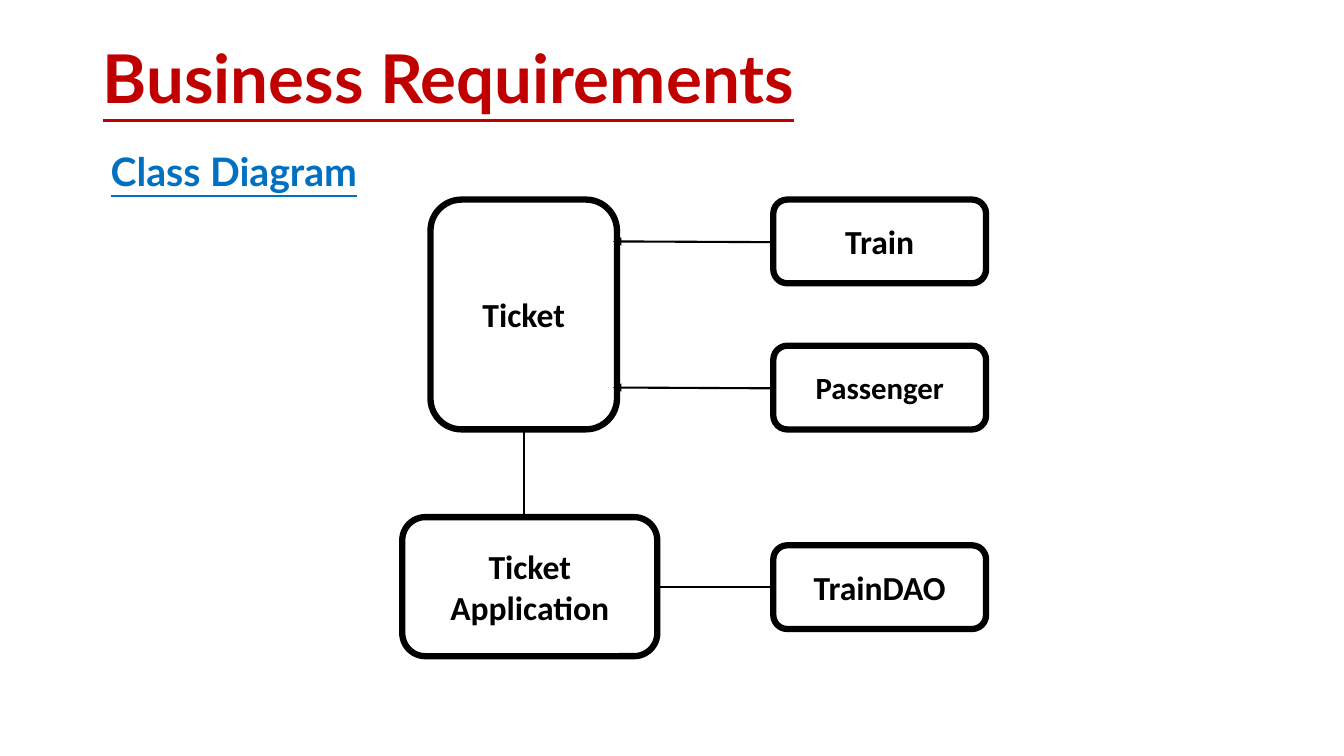
from lxml import etree
from pptx import Presentation
from pptx.dml.color import RGBColor
from pptx.enum.shapes import MSO_CONNECTOR, MSO_SHAPE
from pptx.enum.text import MSO_ANCHOR as ANCHOR, MSO_AUTO_SIZE as FIT, PP_ALIGN as ALIGN
from pptx.oxml.ns import qn
from pptx.util import Inches, Pt

COLORS = {"title": "C00000", "subtitle": "0070C0", "ink": "000000", "paper": "FFFFFF"}
WIDTH, HEIGHT = Inches(13.33), Inches(7.5)

# Shares of the slide, in percent
ENTITY_X, ENTITY_W, ENTITY_H = 57.54, 15.83, 11.07
TICKET_X, TICKET_Y, TICKET_W, TICKET_H = 32.03, 26.4, 13.88, 30.4
APP_X, APP_Y, APP_W, APP_H = 29.93, 68.4, 18.98, 18.4
ENTITIES = [("Train", 26.4, 24), ("Passenger", 45.73, 22), ("TrainDAO", 72.13, 24)]


def color(name):
    return RGBColor.from_string(COLORS[name])


def across(percent):
    return round(WIDTH * percent / 100)


def down(percent):
    return round(HEIGHT * percent / 100)


def area(x, y, w, h):
    return across(x), down(y), across(w), down(h)


def write(tf, text, size, font, ink, align, anchor, underline=False):
    tf.word_wrap = True
    tf.vertical_anchor = anchor
    tf.text = text
    p = tf.paragraphs[0]
    p.alignment = align
    f = p.runs[0].font
    f.name, f.size, f.bold, f.underline = font, Pt(size), True, underline
    f.color.rgb = color(ink)
    return p


def add_title(slide, text):
    sp = slide.shapes.title
    sp.left, sp.top, sp.width, sp.height = area(6.9, 5.33, 86.27, 10.93)
    p = write(sp.text_frame, text, 48, "Lato", "title", ALIGN.LEFT, ANCHOR.MIDDLE, True)
    p.line_spacing = 0.9
    sp.text_frame.auto_size = FIT.NONE


def add_subtitle(slide, text):
    tf = slide.shapes.add_textbox(*area(7.5, 18.8, 23.48, 7.6)).text_frame
    write(tf, text, 28, "Lato", "subtitle", ALIGN.LEFT, ANCHOR.TOP, True)
    tf.auto_size = FIT.SHAPE_TO_FIT_TEXT


def add_class_box(slide, text, x, y, w, h, size=24):
    sp = slide.shapes.add_shape(MSO_SHAPE.ROUNDED_RECTANGLE, *area(x, y, w, h))
    sp.shadow.inherit = False
    sp.fill.solid()
    sp.fill.fore_color.rgb = color("paper")
    sp.line.color.rgb = color("ink")
    sp.line.width = Pt(4.5)
    write(sp.text_frame, text, size, "Calibri", "ink", ALIGN.CENTER, ANCHOR.MIDDLE)


def add_link(slide, x1, y1, x2, y2, arrow=False):
    link = slide.shapes.add_connector(
        MSO_CONNECTOR.STRAIGHT, across(x1), down(y1), across(x2), down(y2))
    link.line.color.rgb = color("ink")
    link.line.width = Pt(1.5)
    if arrow:
        etree.SubElement(link.line._get_or_add_ln(), qn("a:tailEnd"), type="triangle")
    etree.SubElement(link._element.spPr, qn("a:effectLst"))


def main():
    prs = Presentation()
    prs.slide_width, prs.slide_height = WIDTH, HEIGHT
    slide = prs.slides.add_slide(prs.slide_layouts[5])
    add_title(slide, "Business Requirements")

    # Classes
    add_class_box(slide, "Ticket", TICKET_X, TICKET_Y, TICKET_W, TICKET_H)
    add_class_box(slide, "Ticket Application", APP_X, APP_Y, APP_W, APP_H)
    for name, y, size in ENTITIES:
        add_class_box(slide, name, ENTITY_X, y, ENTITY_W, ENTITY_H, size)

    # Train and Passenger point to Ticket
    for name, y, size in ENTITIES[:2]:
        mid = y + ENTITY_H / 2
        add_link(slide, ENTITY_X, mid + 0.1, TICKET_X + TICKET_W - 0.3, mid, arrow=True)

    # Ticket Application joins TrainDAO and Ticket
    dao_mid = ENTITIES[2][1] + ENTITY_H / 2
    add_link(slide, APP_X + APP_W, dao_mid, ENTITY_X, dao_mid)
    ticket_mid = TICKET_X + TICKET_W / 2
    add_link(slide, ticket_mid, TICKET_Y + TICKET_H - 0.4, ticket_mid, APP_Y)

    add_subtitle(slide, "Class Diagram")
    prs.save("out.pptx")


if __name__ == "__main__":
    main()
